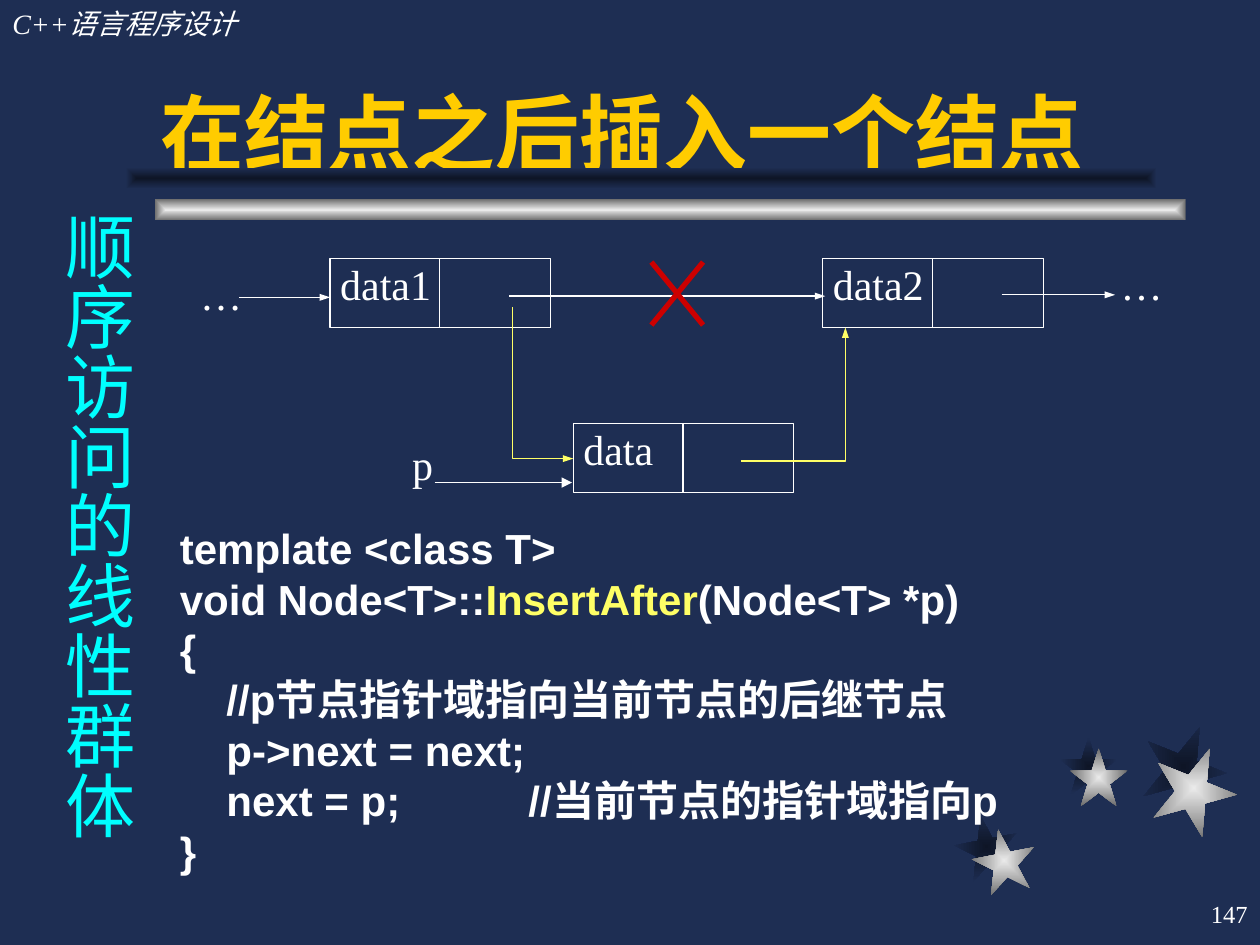
from dataclasses import dataclass

from lxml.etree import SubElement
from pptx import Presentation
from pptx.dml.color import RGBColor
from pptx.enum.shapes import MSO_CONNECTOR, MSO_SHAPE
from pptx.enum.text import MSO_ANCHOR, PP_ALIGN
from pptx.oxml.ns import qn
from pptx.slide import Slide
from pptx.util import Inches, Pt


def rgb(value):
    return RGBColor.from_string(value)


@dataclass
class Deck:
    """Draws styled elements on a slide divided into 100 columns and 75 rows."""

    prs: Presentation
    s: Slide
    white: str = "FFFFFF"
    yellow: str = "FFFF66"
    red: str = "CC0000"
    gold: str = "FFCC00"
    cyan: str = "00FFFF"
    navy: str = "1E2E53"
    serif: str = "Times New Roman"
    sans: str = "Arial"
    cjk: str = "Noto Sans CJK SC"

    def grid(self, *values):
        units = (self.prs.slide_width / 100, self.prs.slide_height / 75)
        return [round(v * units[i % 2]) for i, v in enumerate(values)]

    def background(self):
        fill = self.s.background.fill
        fill.solid()
        fill.fore_color.rgb = rgb(self.navy)

    def set_text(self, sp, lines, size=24, font=None, color=None, align=PP_ALIGN.LEFT,
                 anchor=MSO_ANCHOR.TOP, insets=(0, 0, 0, 0), bold=False, italic=False,
                 spacing=None):
        tf = sp.text_frame
        tf.word_wrap = True
        tf.vertical_anchor = anchor
        tf.margin_left, tf.margin_top, tf.margin_right, tf.margin_bottom = map(Inches, insets)
        for i, line in enumerate(lines):
            p = tf.add_paragraph() if i else tf.paragraphs[0]
            p.alignment = align
            p.line_spacing = spacing
            p.font.name, p.font.size = font or self.serif, Pt(size)
            p.font.bold, p.font.italic = bold, italic
            p.font.color.rgb = rgb(color or self.white)
            for text, tint in [(line, None)] if isinstance(line, str) else line:
                r = p.add_run()
                r.text = text
                if tint:
                    r.font.color.rgb = rgb(tint)

    def title(self, box, text):
        sp = self.s.shapes.title
        sp.left, sp.top, sp.width, sp.height = self.grid(*box)
        self.set_text(sp, [text], 48, self.sans, self.gold, anchor=MSO_ANCHOR.BOTTOM,
                      insets=(0.1, 0.05, 0.1, 0.05), bold=True)

    def text(self, box, lines, vertical=False, **style):
        sp = self.s.shapes.add_textbox(*self.grid(*box))
        self.set_text(sp, lines, **style)
        if vertical:
            sp.text_frame._txBody.bodyPr.set("vert", "eaVert")

    def gradient(self, kind, box, colors, rotation=0):
        sp = self.s.shapes.add_shape(kind, *self.grid(*box))
        sp.shadow.inherit = False
        sp.rotation = rotation
        sp.line.fill.background()
        sp.fill.gradient()
        for stop, position, color in zip(sp.fill.gradient_stops, (0, 1), colors):
            stop.position = position
            stop.color.rgb = rgb(color)
        grad = sp._element.spPr.find(qn("a:gradFill"))
        grad.remove(grad.find(qn("a:lin")))
        shade = SubElement(grad, qn("a:path"), {"path": "rect"})
        SubElement(shade, qn("a:fillToRect"), dict.fromkeys("ltrb", "50000"))

    def stroke(self, sp, color=None, width=0.75, head=None):
        sp.line.color.rgb = rgb(color or self.white)
        sp.line.width = Pt(width)
        if head:
            SubElement(sp.line._get_or_add_ln(), qn("a:tailEnd"),
                       {"type": "triangle", "w": head, "len": "med"})

    def line(self, ends, **style):
        sp = self.s.shapes.add_connector(MSO_CONNECTOR.STRAIGHT, *self.grid(*ends))
        self.stroke(sp, **style)
        SubElement(sp._element.spPr, qn("a:effectLst"))

    def elbow(self, *points):
        start, *rest = [self.grid(*point) for point in points]
        builder = self.s.shapes.build_freeform(*start)
        builder.add_line_segments(rest, close=False)
        sp = builder.convert_to_shape()
        sp.shadow.inherit = False
        sp.fill.background()
        self.stroke(sp, self.yellow, head="sm")

    def node(self, x, y, label):
        width, height, split = 17.5, 5.5, 8.7
        sp = self.s.shapes.add_shape(MSO_SHAPE.RECTANGLE, *self.grid(x, y, width, height))
        sp.shadow.inherit = False
        sp.fill.background()
        self.stroke(sp)
        self.set_text(sp, [label], insets=(0.08, 0, 0, 0))
        self.line((x + split, y, x + split, y + height))


def main():
    prs = Presentation()
    prs.slide_width, prs.slide_height = Inches(10), Inches(7.5)
    deck = Deck(prs, prs.slides.add_slide(prs.slide_layouts[5]))
    deck.background()

    dark, silver = ("0E1526", deck.navy), ("EAEAEA", "6C6C6C")
    stars = [
        (dark, [(75.8, 64.7, 5, 349), (84.1, 58.5, 4.6, 0), (90.6, 57.5, 6.7, 22)]),
        (silver, [(77.2, 65.8, 5, 349), (84.9, 59.4, 4.6, 0), (91.4, 59.2, 6.7, 22)]),
    ]
    for colors, places in stars:
        for x, y, size, rotation in places:
            deck.gradient(MSO_SHAPE.STAR_5_POINT, (x, y, size, size), colors, rotation)
    for x, y, colors in [(12.3, 15.8, silver), (10, 13.3, dark)]:
        deck.gradient(MSO_SHAPE.RECTANGLE, (x, y, 81.8, 1.7), colors)

    padding = (0.1, 0.05, 0.1, 0.05)
    deck.text((0, 0, 30.8, 3.7), ["C++语言程序设计"], size=16, italic=True, insets=padding)
    deck.text((79.2, 70, 20.8, 5), ["147"], size=14, align=PP_ALIGN.RIGHT,
              anchor=MSO_ANCHOR.MIDDLE, insets=padding)
    deck.title((11.7, 2.5, 83.3, 12.5), "在结点之后插入一个结点")

    for x, y, label in [(26.2, 20.5, "data1"), (65.3, 20.5, "data2"), (45.5, 33.6, "data")]:
        deck.node(x, y, label)
    for ends in [(19, 23.6, 26.2, 23.6), (40.4, 23.5, 65.5, 23.5), (79.5, 23.4, 88.5, 23.4)]:
        deck.line(ends, head="sm")
    deck.line((34.5, 38.3, 45.4, 38.3), head="med")
    deck.elbow((58.8, 36.6), (67.1, 36.6), (67.1, 26))
    deck.elbow((40.7, 24.4), (40.7, 36.4), (45.5, 36.4))
    for top, bottom in [(20.8, 25.8), (25.8, 20.8)]:
        deck.line((51.7, top, 55.8, bottom), color=deck.red, width=3)

    deck.text((85.8, 20, 9.6, 6), ["…"], align=PP_ALIGN.CENTER, insets=padding)
    deck.text((14.2, 21.3, 6.7, 4.3), ["…"], align=PP_ALIGN.CENTER)
    deck.text((30.2, 34.8, 11.5, 4.4), ["p"], insets=(0.25, 0, 0, 0))

    code = [
        "template <class T>",
        [("void Node<T>::", None), ("InsertAfter", deck.yellow), ("(Node<T> *p)", None)],
        "{",
        "    //p节点指针域指向当前节点的后继节点",
        "    p->next = next;",
        "    next = p;           //当前节点的指针域指向p",
        "}",
    ]
    deck.text((13.3, 41, 81.7, 29), code, font=deck.sans, bold=True, insets=padding,
              spacing=Pt(28.8))
    deck.text((3, 15.8, 8.6, 52.4), ["顺序访问的线性群体"], vertical=True, size=40,
              font=deck.cjk, color=deck.cyan, insets=(0.05, 0.1, 0.05, 0.1))
    prs.save("out.pptx")


if __name__ == "__main__":
    main()
